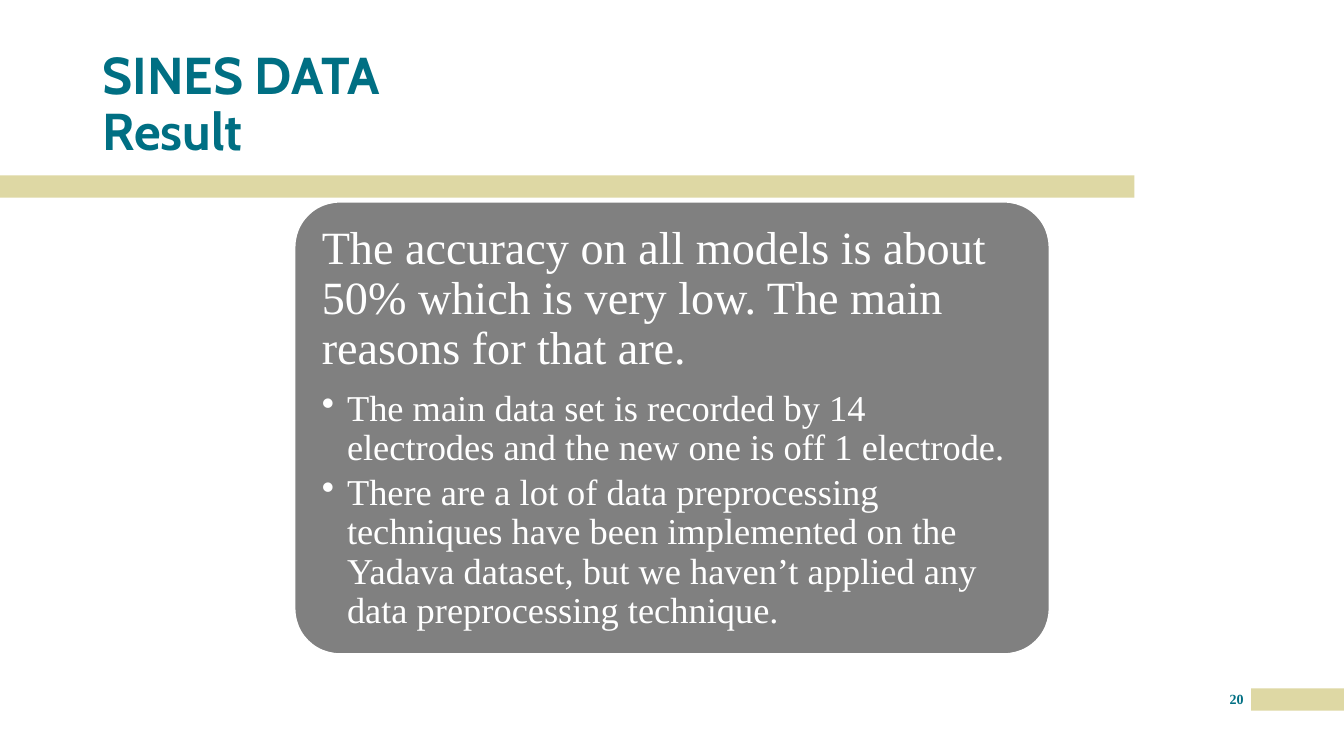
import pptx
import pptx.dml.color
import pptx.enum.shapes
import pptx.enum.text
import pptx.oxml
import pptx.oxml.ns
import pptx.util
from pptx.util import Inches

SAND = "DED8A4"
TEAL = "006F83"
GREY = "808080"
WHITE = "FFFFFF"
BODY_FONT = "Times New Roman"
REASONS = [
    "The main data set is recorded by 14 electrodes and the new one is off 1 electrode.",
    "There are a lot of data preprocessing techniques have been implemented on the "
    "Yadava dataset, but we haven’t applied any data preprocessing technique.",
]


def colour(hex_string):
    return pptx.dml.color.RGBColor.from_string(hex_string)


def add_filled_shape(slide, kind, left, top, width, height, fill):
    shape = slide.shapes.add_shape(
        kind, Inches(left), Inches(top), Inches(width), Inches(height))
    shape.shadow.inherit = False
    shape.fill.solid()
    shape.fill.fore_color.rgb = colour(fill)
    shape.line.fill.background()
    return shape


def add_bar(slide, left, top, width):
    rectangle = pptx.enum.shapes.MSO_SHAPE.RECTANGLE
    add_filled_shape(slide, rectangle, left, top, width, 0.22, SAND)


def set_frame(frame, horizontal, vertical, anchor):
    """Set wrapping, margins in inches and the vertical anchor."""
    frame.word_wrap = True
    frame.margin_left = frame.margin_right = Inches(horizontal)
    frame.margin_top = frame.margin_bottom = Inches(vertical)
    frame.vertical_anchor = anchor


def add_text_box(slide, left, top, width, height):
    return slide.shapes.add_textbox(
        Inches(left), Inches(top), Inches(width), Inches(height)).text_frame


def add_run(paragraph, text, size, font, text_colour, bold=False):
    run = paragraph.add_run()
    run.text = text
    run.font.size = pptx.util.Pt(size)
    run.font.name = font
    run.font.bold = bold
    run.font.color.rgb = colour(text_colour)


def add_bullet(paragraph):
    properties = paragraph._p.get_or_add_pPr()
    properties.set("marL", str(Inches(0.25)))
    properties.set("indent", str(Inches(-0.25)))
    bullet = pptx.oxml.parse_xml(
        f'<a:buChar {pptx.oxml.ns.nsdecls("a")} char="•"/>')
    properties.append(bullet)


def add_title(slide):
    frame = add_text_box(slide, 0.92, 0.4, 11.5, 1.3)
    set_frame(frame, 0.1, 0.05, pptx.enum.text.MSO_ANCHOR.MIDDLE)
    paragraph = frame.paragraphs[0]
    paragraph.line_spacing = 0.9
    add_run(paragraph, "SINES DATA ", 37, "Cabin", TEAL, bold=True)
    paragraph.add_line_break()
    add_run(paragraph, "Result", 37, "Cabin", TEAL, bold=True)


def add_slide_number(slide):
    frame = add_text_box(slide, 12.12, 6.85, 0.29, 0.25)
    set_frame(frame, 0, 0, pptx.enum.text.MSO_ANCHOR.TOP)
    paragraph = frame.paragraphs[0]
    paragraph.alignment = pptx.enum.text.PP_ALIGN.CENTER
    add_run(paragraph, "20", 10, BODY_FONT, TEAL, bold=True)


def format_panel_paragraph(paragraph, space_after):
    paragraph.alignment = pptx.enum.text.PP_ALIGN.LEFT
    paragraph.line_spacing = 0.9
    paragraph.space_after = pptx.util.Pt(space_after)


def add_result_panel(slide):
    rounded = pptx.enum.shapes.MSO_SHAPE.ROUNDED_RECTANGLE
    panel = add_filled_shape(slide, rounded, 2.92, 2, 7.49, 4.49, GREY)
    panel.adjustments[0] = 0.1
    panel.line.color.rgb = colour(WHITE)
    panel.line.width = pptx.util.Pt(1.5)
    frame = panel.text_frame
    set_frame(frame, 0.14, 0.14, pptx.enum.text.MSO_ANCHOR.MIDDLE)

    summary = frame.paragraphs[0]
    format_panel_paragraph(summary, 11.5)
    add_run(summary, "The accuracy on all models is about 50% which is very low. "
            "The main reasons for that are.", 33, BODY_FONT, WHITE)
    for reason in REASONS:
        paragraph = frame.add_paragraph()
        paragraph.level = 1
        format_panel_paragraph(paragraph, 4)
        add_bullet(paragraph)
        add_run(paragraph, reason, 26, BODY_FONT, WHITE)


def main():
    presentation = pptx.Presentation()
    presentation.slide_width = Inches(13.33)
    presentation.slide_height = Inches(7.5)
    slide = presentation.slides.add_slide(presentation.slide_layouts[6])
    add_bar(slide, 12.41, 6.83, 0.92)
    add_bar(slide, 0, 1.74, 11.25)
    add_slide_number(slide)
    add_title(slide)
    add_result_panel(slide)
    presentation.save("out.pptx")


if __name__ == "__main__":
    main()
